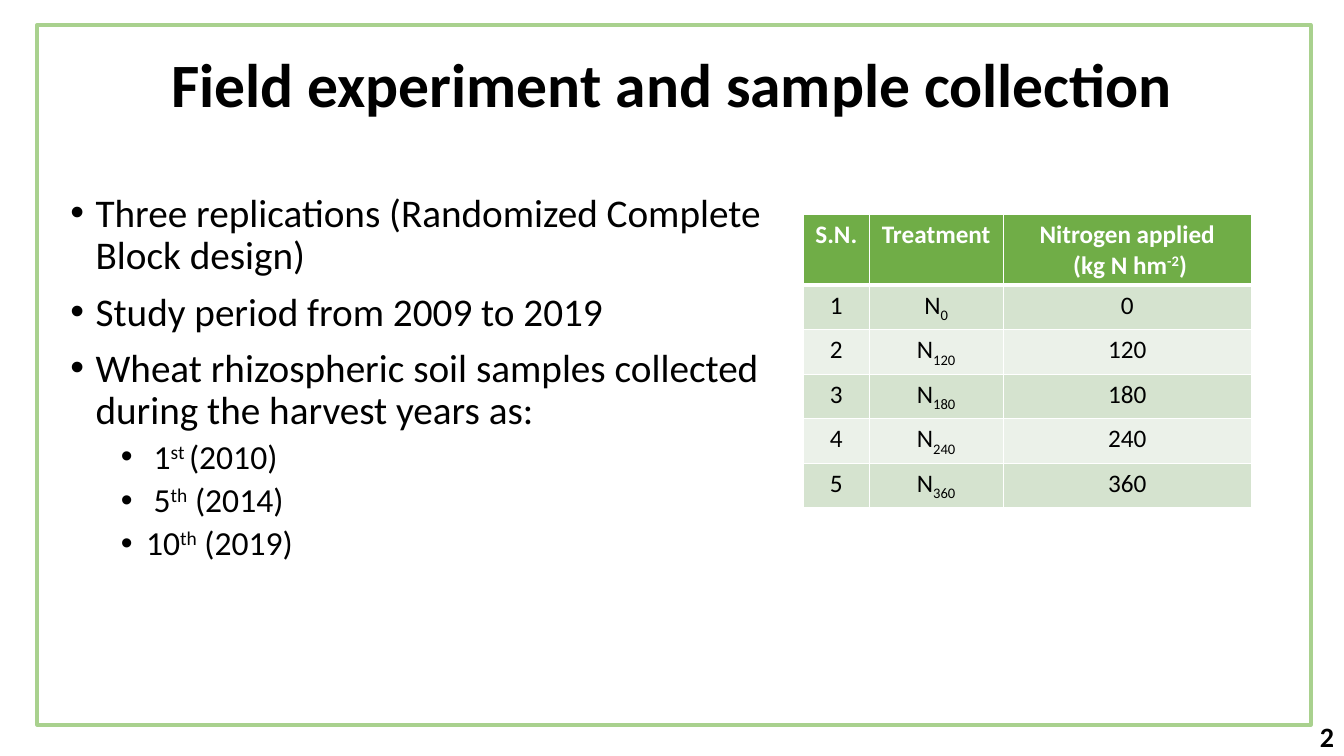
"""Build the slide on the field experiment and sample collection."""
import dataclasses
import typing

import lxml.etree
import pptx
import pptx.dml.color
import pptx.enum.shapes
import pptx.enum.text
import pptx.oxml.ns
import pptx.util

Inches = pptx.util.Inches
Align = pptx.enum.text.PP_ALIGN
Anchor = pptx.enum.text.MSO_ANCHOR
qn = pptx.oxml.ns.qn

FONT = "Calibri"
BLACK, WHITE = "000000", "FFFFFF"
HEADER_GREEN, FRAME_GREEN = "70AD47", "A9D18E"
BAND_FILLS = ("D5E3CF", "EBF1E9")
SUPERSCRIPT, SUBSCRIPT = 30, -25


@dataclasses.dataclass(frozen=True)
class Run:
    text: str
    baseline: int = 0


@dataclasses.dataclass(frozen=True)
class Bullet:
    runs: tuple[Run, ...]
    level: int = 0


@dataclasses.dataclass(frozen=True)
class Column:
    width: float
    heading: tuple[tuple[Run, ...], ...]


BULLETS = (
    Bullet((Run("Three replications (Randomized Complete Block design)"),)),
    Bullet((Run("Study period from 2009 to 2019"),)),
    Bullet((Run("Wheat rhizospheric soil samples collected during the harvest years as:"),)),
    Bullet((Run(" 1"), Run("st ", SUPERSCRIPT), Run("(2010)")), 1),
    Bullet((Run(" 5"), Run("th", SUPERSCRIPT), Run(" (2014)")), 1),
    Bullet((Run("10"), Run("th", SUPERSCRIPT), Run(" (2019)")), 1),
)
COLUMNS = (
    Column(0.65, ((Run("S.N."),),)),
    Column(1.33, ((Run("Treatment"),),)),
    Column(2.46, ((Run("Nitrogen applied"),),
                  (Run(" (kg N hm"), Run("-2", SUPERSCRIPT), Run(")")))),
)
NITROGEN_RATES = (0, 120, 180, 240, 360)
ROW_HEIGHT = 0.3


def color(value: str) -> pptx.dml.color.RGBColor:
    return pptx.dml.color.RGBColor.from_string(value)


def write(paragraph: typing.Any, runs: tuple[Run, ...], *, size: float,
          bold: bool = False, fill: str = BLACK, align: Align = Align.LEFT,
          line_spacing: float = 1.0, space_before: float = 0) -> None:
    paragraph.alignment = align
    paragraph.line_spacing = line_spacing
    paragraph.space_before = pptx.util.Pt(space_before)
    for part in runs:
        run = paragraph.add_run()
        run.text = part.text
        run.font.name = FONT
        run.font.size = pptx.util.Pt(size)
        run.font.bold = bold
        run.font.color.rgb = color(fill)
        if part.baseline:
            run.font._element.set("baseline", str(part.baseline * 1000))


def next_paragraph(frame: typing.Any, index: int) -> typing.Any:
    return frame.add_paragraph() if index else frame.paragraphs[0]


def add_text_box(slide: typing.Any, left: float, top: float, width: float,
                 height: float, anchor: Anchor) -> typing.Any:
    box = slide.shapes.add_textbox(Inches(left), Inches(top), Inches(width), Inches(height))
    box.text_frame.word_wrap = True
    box.text_frame.vertical_anchor = anchor
    return box.text_frame


def add_bullets(slide: typing.Any) -> None:
    frame = add_text_box(slide, 0.6, 1.87, 7.05, 4.2, Anchor.TOP)
    for index, bullet in enumerate(BULLETS):
        paragraph = next_paragraph(frame, index)
        paragraph.level = bullet.level
        write(paragraph, bullet.runs, size=28 - 4 * bullet.level, line_spacing=0.9,
              space_before=10 - 5 * bullet.level)
        properties = paragraph._p.get_or_add_pPr()
        properties.set("marL", str(Inches(0.25 + 0.5 * bullet.level)))
        properties.set("indent", str(Inches(-0.25)))
        lxml.etree.SubElement(properties, qn("a:buFont"), typeface="Arial")
        lxml.etree.SubElement(properties, qn("a:buChar"), char="•")


def set_borders(cell: typing.Any, top: float, bottom: float) -> None:
    properties = cell._tc.get_or_add_tcPr()
    for side, width in (("L", 1), ("R", 1), ("T", top), ("B", bottom)):
        border = lxml.etree.SubElement(properties, qn(f"a:ln{side}"),
                                       w=str(pptx.util.Pt(width)))
        fill = lxml.etree.SubElement(border, qn("a:solidFill"))
        lxml.etree.SubElement(fill, qn("a:srgbClr"), val=WHITE)


def add_treatment_table(slide: typing.Any) -> None:
    rows = [[column.heading for column in COLUMNS]]
    for number, rate in enumerate(NITROGEN_RATES, 1):
        rows.append([((Run(str(number)),),),
                     ((Run("N"), Run(str(rate), SUBSCRIPT)),),
                     ((Run(str(rate)),),)])
    width = sum(column.width for column in COLUMNS)
    table = slide.shapes.add_table(len(rows), len(COLUMNS), Inches(7.97), Inches(2.13),
                                   Inches(width), Inches(ROW_HEIGHT * len(rows))).table
    for index, column in enumerate(COLUMNS):
        table.columns[index].width = Inches(column.width)
    for row_index, row in enumerate(rows):
        header = row_index == 0
        for column_index, lines in enumerate(row):
            cell = table.cell(row_index, column_index)
            set_borders(cell, top=3 if row_index == 1 else 1, bottom=3 if header else 1)
            cell.fill.solid()
            cell.fill.fore_color.rgb = color(
                HEADER_GREEN if header else BAND_FILLS[(row_index - 1) % 2])
            for line_index, runs in enumerate(lines):
                write(next_paragraph(cell.text_frame, line_index), runs, size=18,
                      bold=header, fill=WHITE if header else BLACK, align=Align.CENTER)


def add_frame(slide: typing.Any) -> None:
    frame = slide.shapes.add_shape(pptx.enum.shapes.MSO_SHAPE.RECTANGLE, Inches(0.37),
                                   Inches(0.25), Inches(12.63), Inches(6.94))
    frame.shadow.inherit = False
    frame.fill.background()
    frame.line.color.rgb = color(FRAME_GREEN)
    frame.line.width = pptx.util.Pt(3)


def main() -> None:
    presentation = pptx.Presentation()
    presentation.slide_width = Inches(13.33)
    presentation.slide_height = Inches(7.5)
    slide = presentation.slides.add_slide(presentation.slide_layouts[6])

    title = add_text_box(slide, 0.92, 0.41, 11.5, 0.91, Anchor.MIDDLE)
    write(title.paragraphs[0], (Run("Field experiment and sample collection"),),
          size=44, bold=True, align=Align.CENTER, line_spacing=0.9)
    add_bullets(slide)
    add_treatment_table(slide)
    page_number = add_text_box(slide, 10.33, 7.1, 3, 0.4, Anchor.MIDDLE)
    write(page_number.paragraphs[0], (Run("2"),), size=20, bold=True, align=Align.RIGHT)
    add_frame(slide)
    presentation.save("out.pptx")


if __name__ == "__main__":
    main()
